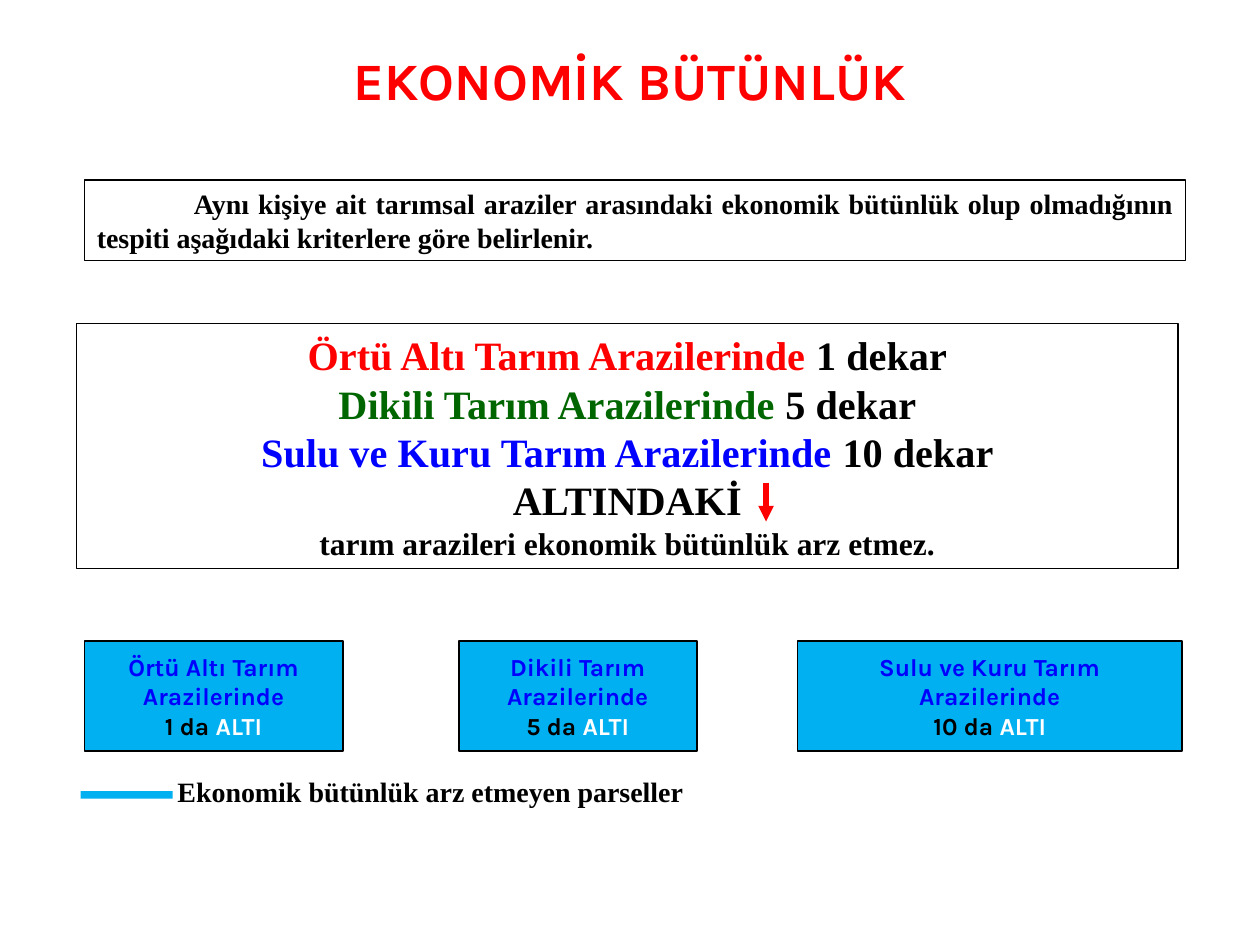
from lxml.etree import SubElement
from pptx import Presentation
from pptx.dml.color import RGBColor
from pptx.enum.shapes import MSO_CONNECTOR, MSO_SHAPE
from pptx.enum.text import MSO_ANCHOR, PP_ALIGN
from pptx.oxml.ns import qn
from pptx.util import Inches, Pt

COLORS = {
    "red": "FF0000", "green": "006600", "blue": "0000FF",
    "sky": "00B0F0", "black": "000000", "white": "FFFFFF",
}


def color(name):
    return RGBColor.from_string(COLORS[name])


def write(shape, lines, size, font="Times New Roman", align=PP_ALIGN.CENTER,
          anchor=MSO_ANCHOR.MIDDLE):
    """Fill a shape with lines, each a list of (text, color) runs."""
    frame = shape.text_frame
    frame.word_wrap = True
    frame.vertical_anchor = anchor
    for i, line in enumerate(lines):
        para = frame.add_paragraph() if i else frame.paragraphs[0]
        para.alignment = align
        for text, tint in line:
            run = para.add_run()
            run.text = text
            run.font.name = font
            run.font.size = Pt(size)
            run.font.bold = True
            run.font.color.rgb = color(tint)


prs = Presentation()
prs.slide_width, prs.slide_height = Inches(10), Inches(7.5)
slide = prs.slides.add_slide(prs.slide_layouts[5])
shapes = slide.shapes

title = shapes.title
title.left, title.top = Inches(0), Inches(0.36)
title.width, title.height = Inches(10), Inches(0.55)
write(title, [[("EKONOMİK BÜTÜNLÜK", "red")]], 30, font="Karla")

# Boxes: left, top, width, height, fill, line width
boxes = []
for left, top, width, height, fill, line in [
    (0.67, 1.43, 8.74, 0.64, None, 0.75),
    (0.61, 2.57, 8.74, 1.94, None, 0.75),
    (0.67, 5.09, 2.05, 0.87, "sky", 1),
    (3.64, 5.09, 1.89, 0.87, "sky", 1),
    (6.33, 5.09, 3.05, 0.87, "sky", 1),
    (0.64, 6.28, 0.73, 0.06, "sky", 0),
]:
    box = shapes.add_shape(MSO_SHAPE.RECTANGLE, Inches(left), Inches(top),
                           Inches(width), Inches(height))
    box.shadow.inherit = False
    if fill:
        box.fill.solid()
        box.fill.fore_color.rgb = color(fill)
    else:
        box.fill.background()
    if line:
        box.line.color.rgb = color("black")
        box.line.width = Pt(line)
    else:
        box.line.fill.background()
    boxes.append(box)
intro, rules, *cards, key = boxes

write(intro, [[("Aynı kişiye ait tarımsal araziler arasındaki ekonomik bütünlük "
                "olup olmadığının tespiti aşağıdaki kriterlere göre belirlenir.",
                "black")]], 16, align=PP_ALIGN.JUSTIFY)
indent = intro.text_frame.paragraphs[0]._p.get_or_add_pPr()
indent.set("indent", str(Inches(0.77)))

lands = [
    ("Örtü Altı Tarım Arazilerinde", "red", 1),
    ("Dikili Tarım Arazilerinde", "green", 5),
    ("Sulu ve Kuru Tarım Arazilerinde", "blue", 10),
]
limits = [[(land + " ", tint), (f"{area} dekar", "black")]
          for land, tint, area in lands]
write(rules, limits + [
    [("ALTINDAKİ", "black")],
    [("tarım arazileri ekonomik bütünlük arz etmez.", "black")],
], 23)
rules.text_frame.paragraphs[-1].runs[0].font.size = Pt(18)

for card, (land, tint, area) in zip(cards, lands):
    write(card, [[(land, "blue")],
                 [(f"{area} da", "black"), (" ALTI", "white")]], 14, font="Karla")

label = shapes.add_textbox(Inches(1.31), Inches(6.1), Inches(4.51), Inches(0.37))
write(label, [[("Ekonomik bütünlük arz etmeyen parseller", "black")]], 16,
      align=PP_ALIGN.LEFT, anchor=MSO_ANCHOR.TOP)

arrow = shapes.add_connector(MSO_CONNECTOR.STRAIGHT, Inches(6.08), Inches(3.83),
                             Inches(6.08), Inches(4.14))
arrow.line.color.rgb = color("red")
arrow.line.width = Pt(3)
SubElement(arrow.line._get_or_add_ln(), qn("a:tailEnd"), type="triangle")
SubElement(arrow._element.spPr, qn("a:effectLst"))

prs.save("out.pptx")
